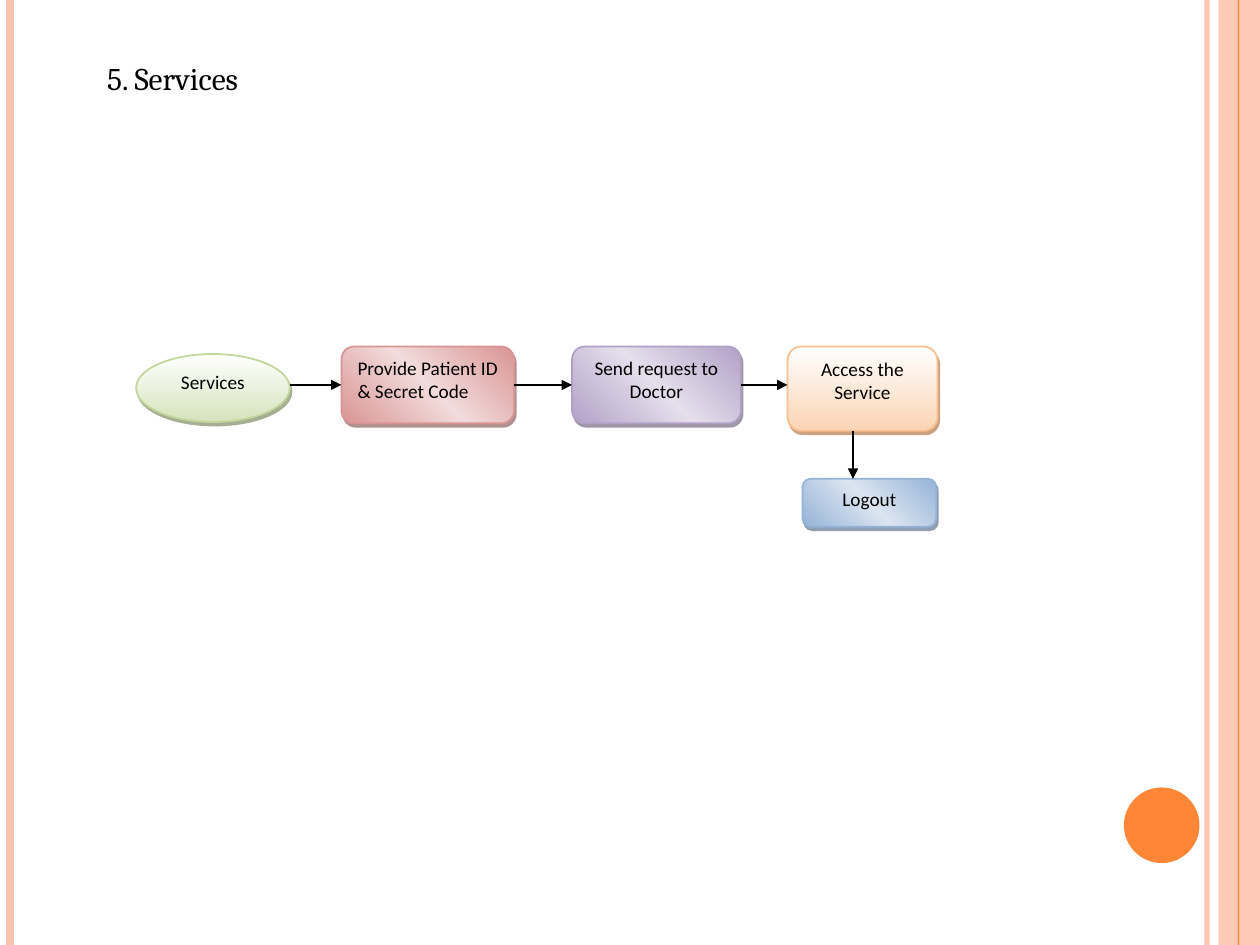
import pptx
import pptx.util
import pptx.oxml
import pptx.oxml.ns
import pptx.dml.color
import pptx.enum.shapes
import pptx.enum.text

CELL = pptx.util.Inches(0.1)
SHAPE = pptx.enum.shapes.MSO_SHAPE
ALIGN = pptx.enum.text.PP_ALIGN
ANCHOR = pptx.enum.text.MSO_ANCHOR

THEME = {
    "ink": "000000", "peach": "FEC3AE", "orange": "FE8637",
    "title": {"name": "Cambria", "size": pptx.util.Pt(18), "bold": False},
    "label": {"name": "Calibri", "size": pptx.util.Pt(11)},
    "green": {"line": "C2D69B", "shade": "4E6128", "turn": 270, "stops": ["FFFFFF", "D6E3BC"]},
    "red": {"line": "D99594", "shade": "622423", "turn": 45, "stops": ["D99594", "F2DBDB", "D99594"]},
    "plum": {"line": "B2A1C7", "shade": "3F3151", "turn": 45, "stops": ["B2A1C7", "E5DFEC", "B2A1C7"]},
    "gold": {"line": "FABF8F", "shade": "974706", "turn": 270, "stops": ["FFFFFF", "FBD4B4"]},
    "blue": {"line": "95B3D7", "shade": "243F60", "turn": 45, "stops": ["95B3D7", "DBE5F1", "95B3D7"]},
}


def rgb(code):
    """Turn a hex code into a colour."""
    return pptx.dml.color.RGBColor.from_string(code)


def grid(box, *cells):
    """Turn columns and rows inside a box into slide lengths."""
    return [round((n + box[i % 2] * (i < 2)) * CELL) for i, n in enumerate(cells)]


def put(item, form):
    """Set each attribute named in a dict."""
    for key, val in form.items():
        setattr(item, key, val)


def xml(tag, body):
    """Parse one drawing element."""
    return pptx.oxml.parse_xml(f"<a:{tag} {pptx.oxml.ns.nsdecls('a')}>{body}</a:{tag}>")


def fade(part, share):
    """Give the colour in a shape a share of opacity."""
    for tone in part.element.spPr.iter(pptx.oxml.ns.qn("a:srgbClr")):
        tone.append(pptx.oxml.parse_xml(
            f'<a:alpha {pptx.oxml.ns.nsdecls("a")} val="{share * 1000}"/>'))


def write(para, text, form, align):
    """Put styled text in a paragraph."""
    para.text = text
    para.alignment = align
    put(para.font, form)
    para.font.color.rgb = rgb(THEME["ink"])


def draw(slide, box, start, end, color, width, arrow=False):
    """Draw a straight line, with an arrowhead if asked."""
    line = slide.shapes.add_connector(
        pptx.enum.shapes.MSO_CONNECTOR.STRAIGHT, *grid(box, *start), *grid(box, *end))
    line.line.color.rgb = rgb(color)
    line.line.width = pptx.util.Pt(width)
    line.element.spPr.append(xml("effectLst", ""))
    if arrow:
        line.line._get_or_add_ln().append(pptx.oxml.parse_xml(
            f'<a:tailEnd {pptx.oxml.ns.nsdecls("a")} type="triangle"/>'))
    return line


def plain(slide, box, kind, place, color):
    """Add a flat shape without an outline."""
    part = slide.shapes.add_shape(kind, *grid(box, *place))
    part.shadow.inherit = False
    part.fill.solid()
    part.fill.fore_color.rgb = rgb(color)
    part.line.fill.background()
    return part


def frame(slide, box):
    """Draw the side stripes and the disc over a full box."""
    high = box[3]

    def stripe(col, color, width):
        """Draw one stripe from top to bottom."""
        return draw(slide, box, (col, 0), (col, high), color, width)

    fade(stripe(95.8, THEME["peach"], 3), 93)
    stripe(0.8, THEME["peach"], 4.5)
    stripe(98.3, THEME["orange"], 1.5)
    band = plain(slide, box, SHAPE.RECTANGLE, (96.7, 0, 3.3, high), THEME["peach"])
    fade(band, 87)
    fade(stripe(98.3, THEME["orange"], 0.75), 100)
    plain(slide, box, SHAPE.OVAL, (89.2, 62.5, 6, 6), THEME["orange"])


def head(slide, box):
    """Place the title in its box."""
    title = slide.shapes.title
    put(title, dict(zip(("left", "top", "width", "height"), grid((0, 0), *box))))
    put(title.text_frame, {"word_wrap": True, "vertical_anchor": ANCHOR.MIDDLE})
    write(title.text_frame.paragraphs[0], "5. Services", THEME["title"], ALIGN.LEFT)


def node(slide, box, kind, place, text, tint, align=ALIGN.CENTER):
    """Add one shaded step of the flow."""
    part = slide.shapes.add_shape(kind, *grid(box, *place))
    part.shadow.inherit = False
    part.fill.gradient()
    part.fill.gradient_angle = tint["turn"]
    step = 100000 // (len(tint["stops"]) - 1)
    stops = "".join(f'<a:gs pos="{i * step}"><a:srgbClr val="{c}"/></a:gs>'
                    for i, c in enumerate(tint["stops"]))
    props = part.element.spPr
    old = next(props.iter(pptx.oxml.ns.qn("a:gsLst")))
    old.getparent().replace(old, xml("gsLst", stops))
    part.line.color.rgb = rgb(tint["line"])
    part.line.width = pptx.util.Pt(1)
    glow = (f'<a:outerShdw dist="28400" dir="3800000" algn="ctr" rotWithShape="0">'
            f'<a:srgbClr val="{tint["shade"]}"><a:alpha val="50000"/></a:srgbClr></a:outerShdw>')
    props.replace(props.find(pptx.oxml.ns.qn("a:effectLst")), xml("effectLst", glow))
    put(part.text_frame, {"word_wrap": True, "vertical_anchor": ANCHOR.TOP})
    para = part.text_frame.paragraphs[0]
    write(para, text, THEME["label"], align)
    para.space_after = pptx.util.Pt(10)
    return part


def flow(slide, box):
    """Draw the service steps and the arrows between them."""
    card = SHAPE.ROUNDED_RECTANGLE
    node(slide, box, SHAPE.OVAL, (0, 0.6, 12.2, 5.4), "Services", THEME["green"])
    code = node(slide, box, card, (16.3, 0, 13.7, 6.1),
                "Provide Patient ID & Secret Code", THEME["red"], ALIGN.LEFT)
    node(slide, box, card, (52.9, 10.5, 10.6, 3.8), "Logout", THEME["blue"])
    node(slide, box, card, (51.7, 0, 11.9, 6.7), "Access the Service", THEME["gold"])
    send = node(slide, box, card, (34.6, 0, 13.4, 6.1), "Send request to Doctor", THEME["plum"])
    mid = 3.05
    links = [
        ((12.2, mid), (16.3, mid), None, code),
        ((30, mid), (34.6, mid), code, send),
        ((48, mid), (51.7, mid), send, None),
        ((56.9, 6.7), (56.9, 10.5), None, None),
    ]
    for start, end, first, last in links:
        link = draw(slide, box, start, end, THEME["ink"], 0.75, True)
        if first:
            link.begin_connect(first, 3)
        if last:
            link.end_connect(last, 1)


def main():
    """Build and save the slide."""
    deck = pptx.Presentation()
    put(deck, {"slide_width": 100 * CELL, "slide_height": 75 * CELL})
    slide = deck.slides.add_slide(deck.slide_layouts[5])
    frame(slide, (0, 0, 100, 75))
    head(slide, (7.5, 4.2, 40, 4))
    flow(slide, (10.8, 27.5, 63.6, 14.3))
    deck.save("out.pptx")


if __name__ == "__main__":
    main()
